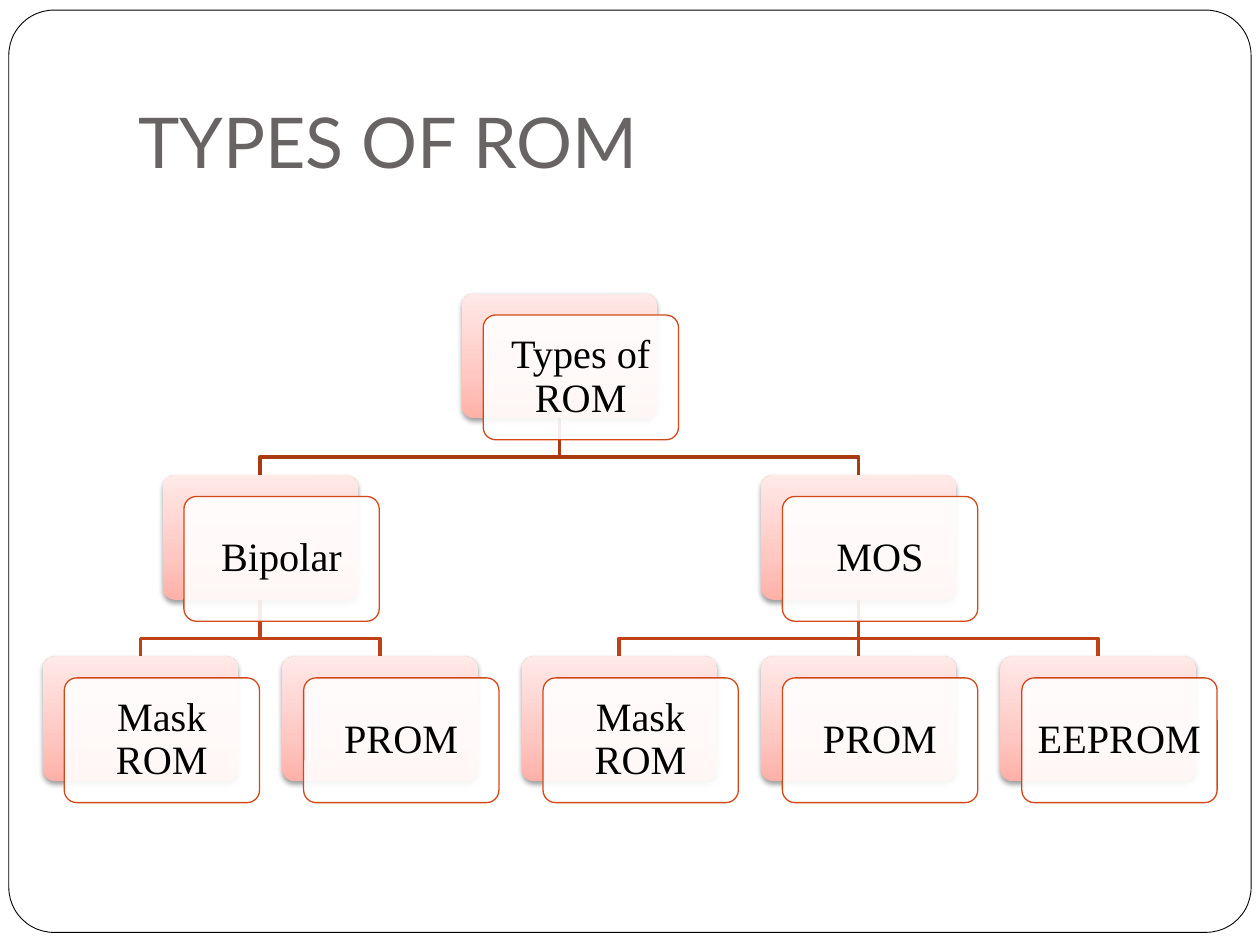
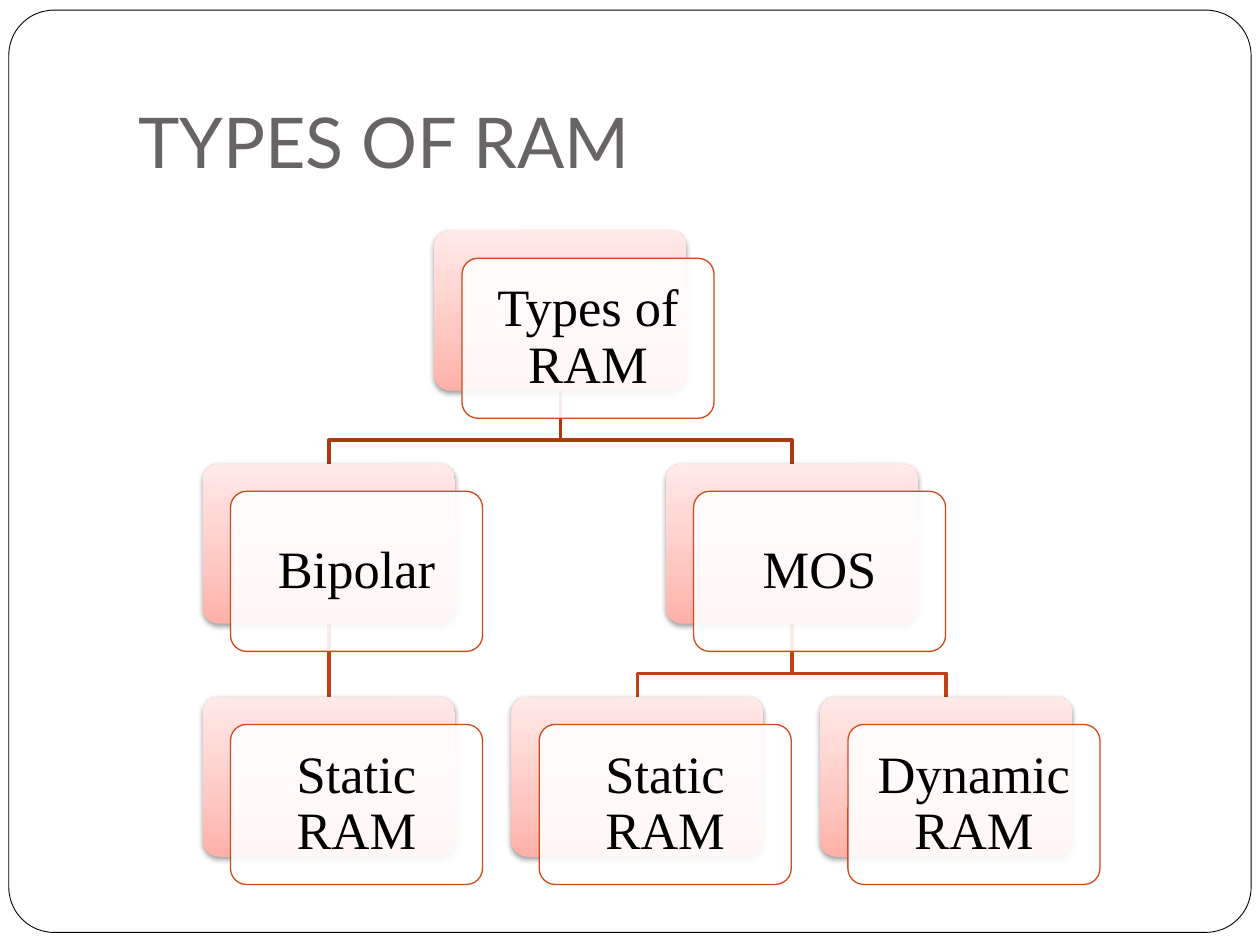
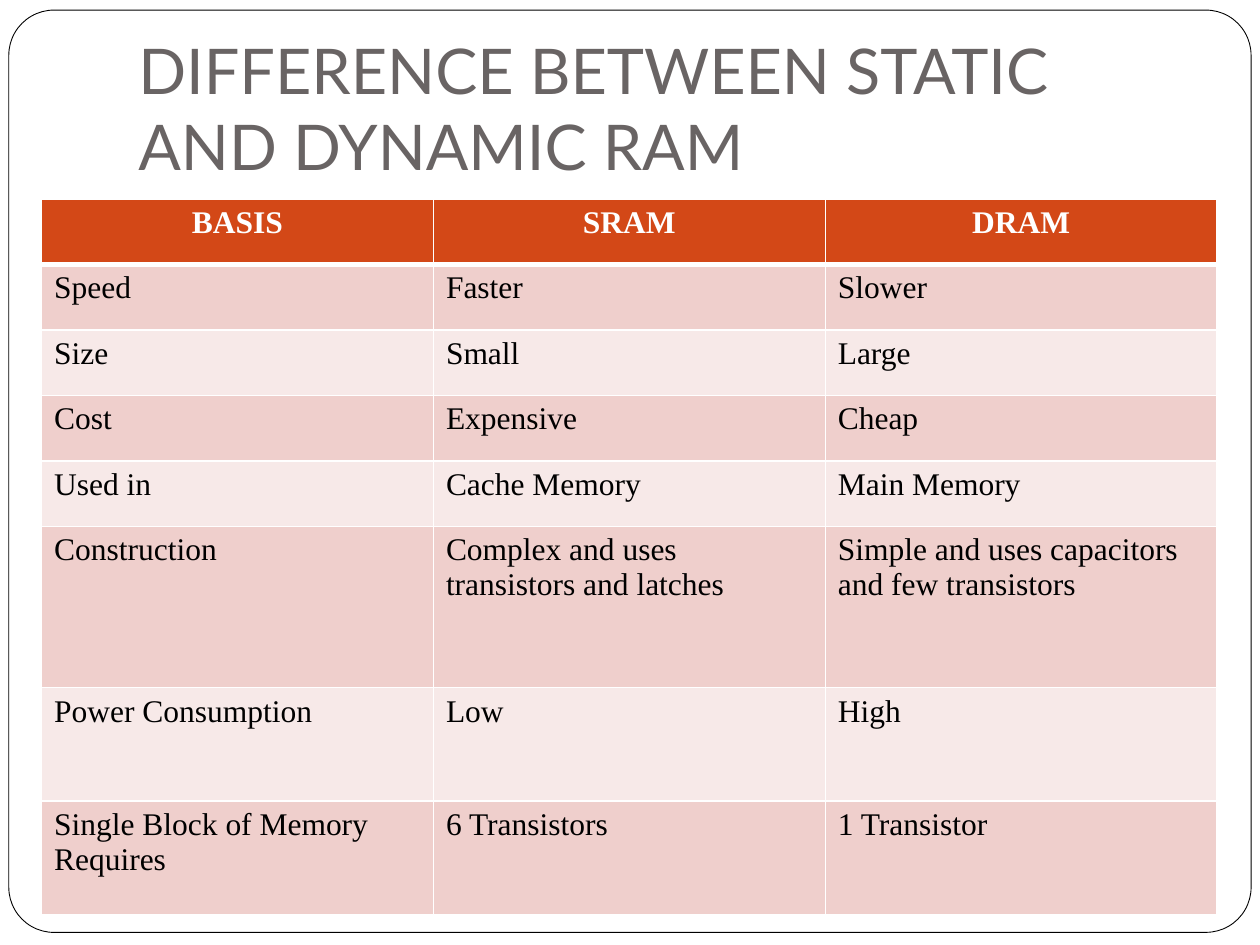
from lxml import etree
from copy import deepcopy
from pptx import Presentation
from pptx.dml.color import RGBColor
from pptx.enum.shapes import MSO_CONNECTOR, MSO_SHAPE
from pptx.enum.text import MSO_ANCHOR, PP_ALIGN
from pptx.oxml import parse_xml
from pptx.oxml.ns import nsdecls, qn
from pptx.util import Inches, Pt

ROUNDED = MSO_SHAPE.ROUNDED_RECTANGLE
STRAIGHT = MSO_CONNECTOR.STRAIGHT
MIDDLE, BOTTOM = MSO_ANCHOR.MIDDLE, MSO_ANCHOR.BOTTOM
LEFT, CENTER = PP_ALIGN.LEFT, PP_ALIGN.CENTER

TITLE_FONT, BODY_FONT = "Lato", "Times New Roman"
WHITE, BLACK, GREY, ORANGE = "FFFFFF", "000000", "696464", "D34817"
BRANCH_COLORS = {1: "A93A12", 2: "BF4115"}
CARD_STOPS = [(0, "FFB0A8"), (0.35, "FFC7C2"), (1, "FFEAE8")]
BAND_COLORS = ["F7E9E8", "EFCFCC"]
CARD_SHADOW = (
    f'<a:effectLst {nsdecls("a")}><a:outerShdw blurRad="40000" dist="20000" dir="5400000" '
    'rotWithShape="0"><a:srgbClr val="000000"><a:alpha val="38000"/></a:srgbClr>'
    "</a:outerShdw></a:effectLst>"
)

# Each node: label, level, column slot, index of its parent
TREES = {
    "TYPES OF ROM": dict(
        left=0.34, top=2.33, pitch=1.9, step=1.44, width=1.55, height=0.99,
        shift=0.17, inset=0.07, size=23,
        nodes=[
            ("Types of ROM", 0, 1.75, None),
            ("Bipolar", 1, 0.5, 0),
            ("MOS", 1, 3, 0),
            ("Mask ROM", 2, 0, 1),
            ("PROM", 2, 1, 1),
            ("Mask ROM", 2, 2, 2),
            ("PROM", 2, 3, 2),
            ("EEPROM", 2, 4, 2),
        ],
    ),
    "TYPES OF RAM": dict(
        left=1.61, top=1.83, pitch=2.45, step=1.85, width=2, height=1.27,
        shift=0.22, inset=0.08, size=30,
        nodes=[
            ("Types of RAM", 0, 0.75, None),
            ("Bipolar", 1, 0, 0),
            ("MOS", 1, 1.5, 0),
            ("Static RAM", 2, 0, 1),
            ("Static RAM", 2, 1, 2),
            ("Dynamic RAM", 2, 2, 2),
        ],
    ),
}

ROWS = [
    ("BASIS", "SRAM", "DRAM"),
    ("Speed", "Faster", "Slower"),
    ("Size", "Small", "Large"),
    ("Cost", "Expensive", "Cheap"),
    ("Used in", "Cache Memory", "Main Memory"),
    ("Construction", "Complex and uses transistors and latches",
     "Simple and uses capacitors and few transistors"),
    ("Power Consumption", "Low", "High"),
    ("Single Block of Memory Requires", "6 Transistors", "1 Transistor"),
]
ROW_HEIGHTS = [0.52] * 5 + [1.28, 0.9, 0.9]


def rgb(color):
    return RGBColor.from_string(color)


def add_titled_slide(prs, title, size):
    s = prs.slides.add_slide(prs.slide_layouts[6])
    frame = s.shapes.add_shape(ROUNDED, Inches(0.07), Inches(0.08), Inches(9.86), Inches(7.32))
    frame.adjustments[0] = 0.049
    frame.shadow.inherit = False
    frame.fill.solid()
    frame.fill.fore_color.rgb = rgb(WHITE)
    frame.line.color.rgb = rgb(BLACK)
    frame.line.width = Pt(0.5)
    tf = s.shapes.add_textbox(Inches(1), Inches(0.3), Inches(8.5), Inches(1.25)).text_frame
    tf.word_wrap = True
    tf.vertical_anchor = BOTTOM
    tf.margin_bottom = Inches(0.1)
    r = tf.paragraphs[0].add_run()
    r.text = title
    r.font.name, r.font.size = TITLE_FONT, Pt(size)
    r.font.color.rgb = rgb(GREY)
    return s


prs = Presentation()
prs.slide_width, prs.slide_height = Inches(10), Inches(7.5)

for title, tree in TREES.items():
    s = add_titled_slide(prs, title, 40)
    width, height, shift = Inches(tree["width"]), Inches(tree["height"]), Inches(tree["shift"])
    corners = [
        (Inches(tree["left"] + slot * tree["pitch"]), Inches(tree["top"] + level * tree["step"]))
        for _, level, slot, _ in tree["nodes"]
    ]

    # Branches lie behind the cards
    for (x, y), (_, level, _, parent) in zip(corners, tree["nodes"]):
        if parent is None:
            continue
        px, py = corners[parent]
        start_x, start_y, end_x = px + width // 2, py + height, x + width // 2
        if start_x == end_x:
            branch = s.shapes.add_connector(STRAIGHT, start_x, start_y, end_x, y)
            etree.SubElement(branch._element.spPr, qn("a:effectLst"))
        else:
            bend_y = start_y + int((y - start_y) * 0.68)
            builder = s.shapes.build_freeform(start_x, start_y)
            builder.add_line_segments([(start_x, bend_y), (end_x, bend_y), (end_x, y)], close=False)
            branch = builder.convert_to_shape()
            branch.shadow.inherit = False
            branch.fill.background()
        branch.line.color.rgb = rgb(BRANCH_COLORS[level])
        branch.line.width = Pt(2)

    for (x, y), (label, *_) in zip(corners, tree["nodes"]):
        card = s.shapes.add_shape(ROUNDED, x, y, width, height)
        card.adjustments[0] = 0.1
        card.line.fill.background()
        card.fill.gradient()
        card.fill.gradient_angle = 90
        stop_list = card._element.spPr.find(qn("a:gradFill")).find(qn("a:gsLst"))
        stop_list.insert(1, deepcopy(stop_list[0]))
        for stop, (position, color) in zip(card.fill.gradient_stops, CARD_STOPS):
            stop.position = position
            stop.color.rgb = rgb(color)
        card._element.spPr.append(parse_xml(CARD_SHADOW))

        panel = s.shapes.add_shape(ROUNDED, x + shift, y + shift, width, height)
        panel.adjustments[0] = 0.1
        panel.shadow.inherit = False
        panel.fill.solid()
        panel.fill.fore_color.rgb = rgb(WHITE)
        fill_color = panel._element.spPr.find(qn("a:solidFill"))[0]
        etree.SubElement(fill_color, qn("a:alpha"), val="90000")
        panel.line.color.rgb = rgb(ORANGE)
        panel.line.width = Pt(0.75)
        tf = panel.text_frame
        tf.word_wrap = True
        tf.vertical_anchor = MIDDLE
        tf.margin_left = tf.margin_right = tf.margin_top = tf.margin_bottom = Inches(tree["inset"])
        p = tf.paragraphs[0]
        p.alignment = CENTER
        p.line_spacing = 0.9
        r = p.add_run()
        r.text = label
        r.font.name, r.font.size = BODY_FONT, Pt(tree["size"])
        r.font.color.rgb = rgb(BLACK)

s = add_titled_slide(prs, "DIFFERENCE BETWEEN STATIC AND DYNAMIC RAM", 36)
table = s.shapes.add_table(
    len(ROWS), 3, Inches(0.33), Inches(1.58), Inches(9.33), Inches(sum(ROW_HEIGHTS))
).table
for i, (texts, row_height) in enumerate(zip(ROWS, ROW_HEIGHTS)):
    table.rows[i].height = Inches(row_height)
    header = i == 0
    edges = {"lnL": 1, "lnR": 1, "lnT": 3 if i == 1 else 1, "lnB": 3 if header else 1}
    for j, text in enumerate(texts):
        cell = table.cell(i, j)
        tcPr = cell._tc.get_or_add_tcPr()
        for edge, points in edges.items():
            ln = etree.SubElement(tcPr, qn(f"a:{edge}"), w=str(Pt(points)))
            etree.SubElement(etree.SubElement(ln, qn("a:solidFill")), qn("a:srgbClr"), val=WHITE)
        cell.fill.solid()
        cell.fill.fore_color.rgb = rgb(ORANGE if header else BAND_COLORS[i % 2])
        p = cell.text_frame.paragraphs[0]
        p.alignment = CENTER if header else LEFT
        r = p.add_run()
        r.text = text
        r.font.name, r.font.size, r.font.bold = BODY_FONT, Pt(18), header
        r.font.color.rgb = rgb(WHITE if header else BLACK)

prs.save("out.pptx")
